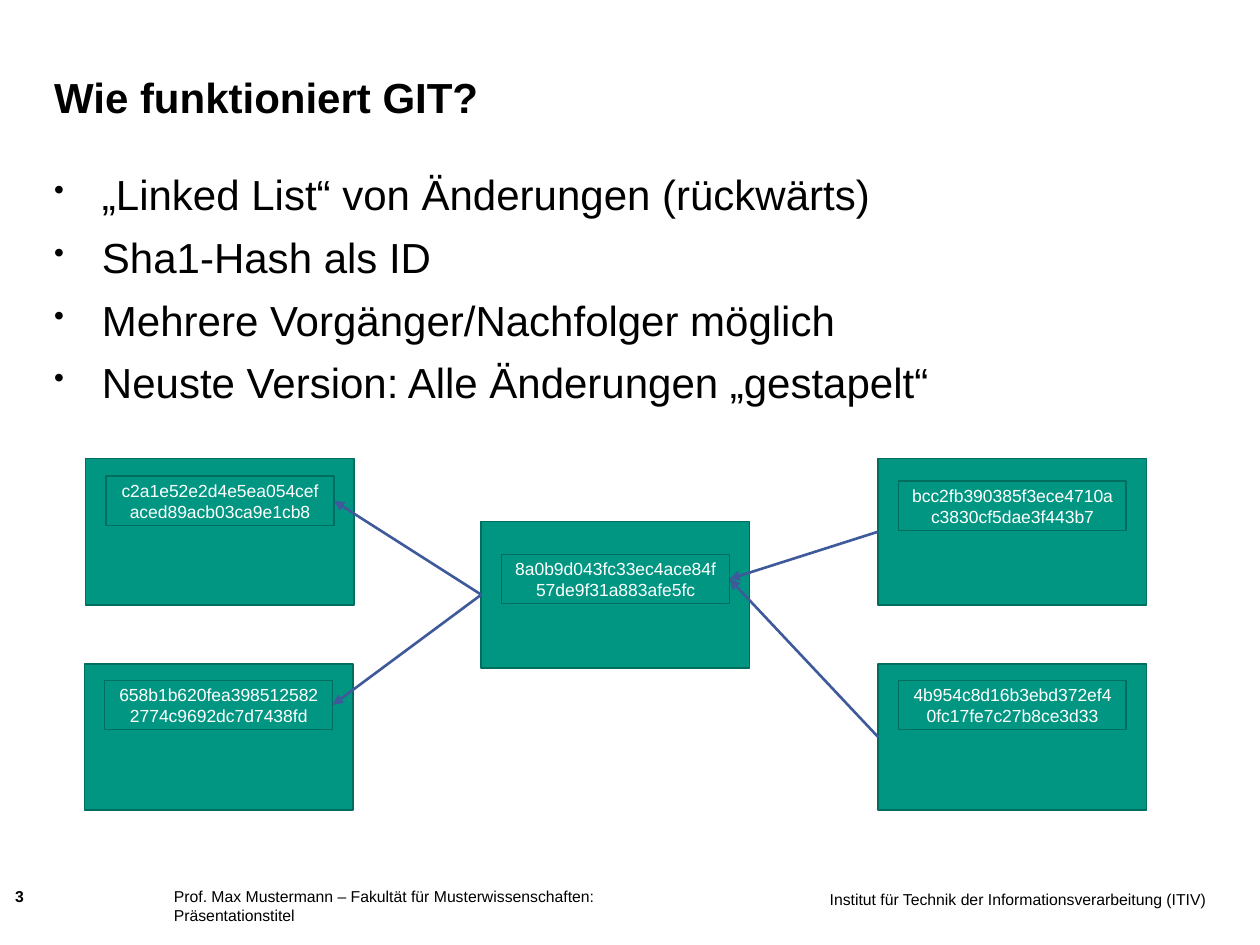
from lxml import etree
from pptx import Presentation
from pptx.dml.color import RGBColor
from pptx.enum.shapes import MSO_CONNECTOR, MSO_SHAPE
from pptx.enum.text import MSO_ANCHOR, PP_ALIGN
from pptx.oxml.ns import qn
from pptx.util import Inches, Pt

BLACK = RGBColor(0x00, 0x00, 0x00)
WHITE = RGBColor(0xFF, 0xFF, 0xFF)
GREEN = RGBColor(0x00, 0x96, 0x82)
DARK_GREEN = RGBColor(0x00, 0x6D, 0x5E)
BLUE = RGBColor(0x3F, 0x5A, 0x9A)

RECTANGLE = MSO_SHAPE.RECTANGLE
STRAIGHT = MSO_CONNECTOR.STRAIGHT
LEFT, CENTER, RIGHT = PP_ALIGN.LEFT, PP_ALIGN.CENTER, PP_ALIGN.RIGHT
TOP, MIDDLE, BOTTOM = MSO_ANCHOR.TOP, MSO_ANCHOR.MIDDLE, MSO_ANCHOR.BOTTOM

COMMIT_WIDTH, COMMIT_HEIGHT = 2.13, 1.16
HASH_WIDTH, HASH_HEIGHT = 1.81, 0.39
HASH_INDENT = 0.16
BULLET_INDENT = 0.38


def add_bullet(para):
    props = para._p.get_or_add_pPr()
    props.set("marL", str(Inches(BULLET_INDENT)))
    props.set("indent", str(-Inches(BULLET_INDENT)))
    etree.SubElement(props, qn("a:buSzPct")).set("val", "70000")
    etree.SubElement(props, qn("a:buChar")).set("char", "•")


def write(frame, text, size=9, color=BLACK, bold=False, align=LEFT,
          anchor=TOP, margins=(0, 0, 0, 0), bullets=False, gap=0):
    """Fill a text frame; each line of text becomes a paragraph."""
    frame.word_wrap = True
    frame.vertical_anchor = anchor
    (frame.margin_left, frame.margin_top,
     frame.margin_right, frame.margin_bottom) = map(Inches, margins)
    for index, line in enumerate(text.split("\n")):
        para = frame.add_paragraph() if index else frame.paragraphs[0]
        para.alignment = align
        if index:
            para.space_before = Pt(gap)
        if bullets:
            add_bullet(para)
        span = para.add_run()
        span.text = line
        span.font.name = "Arial"
        span.font.size = Pt(size)
        span.font.bold = bold
        span.font.color.rgb = color


class SlideBuilder:
    """Holds the commit graph's style and the current slide."""
    fill, outline, arrow_color = GREEN, DARK_GREEN, BLUE

    def __init__(self, page):
        self.page = page

    def text(self, left, top, width, height, text, **style):
        box = self.page.shapes.add_textbox(
            Inches(left), Inches(top), Inches(width), Inches(height))
        write(box.text_frame, text, **style)

    def box(self, left, top, width, height):
        shape = self.page.shapes.add_shape(
            RECTANGLE, Inches(left), Inches(top), Inches(width), Inches(height))
        shape.shadow.inherit = False
        shape.fill.solid()
        shape.fill.fore_color.rgb = self.fill
        shape.line.color.rgb = self.outline
        shape.line.width = Pt(1)
        return shape

    def commit(self, left, top, hash_top, hash_id):
        """Draw a commit; return its arrow start and arrow target points."""
        self.box(left, top, COMMIT_WIDTH, COMMIT_HEIGHT)
        hash_left = left + HASH_INDENT
        label = self.box(hash_left, hash_top, HASH_WIDTH, HASH_HEIGHT)
        write(label.text_frame, hash_id, size=10, color=WHITE, align=CENTER,
              anchor=MIDDLE, margins=(0.1, 0.05, 0.1, 0.05))
        start = (left, top + COMMIT_HEIGHT / 2)
        target = (hash_left + HASH_WIDTH, hash_top + HASH_HEIGHT / 2)
        return start, target

    def arrow(self, start, target):
        line = self.page.shapes.add_connector(
            STRAIGHT, *(Inches(value) for value in start + target))
        line.line.color.rgb = self.arrow_color
        line.line.width = Pt(1.5)
        etree.SubElement(line.line._get_or_add_ln(),
                         qn("a:tailEnd")).set("type", "triangle")
        etree.SubElement(line._element.spPr, qn("a:effectLst"))


def main():
    deck = Presentation()
    deck.slide_width, deck.slide_height = Inches(10), Inches(7.5)
    slide = SlideBuilder(deck.slides.add_slide(deck.slide_layouts[6]))

    # Title and bullets
    slide.text(0.43, 0.36, 7.56, 0.61, "Wie funktioniert GIT?",
               size=24, bold=True, anchor=BOTTOM)
    slide.text(0.43, 1.31, 9.14, 5.35,
               "„Linked List“ von Änderungen (rückwärts)\n"
               "Sha1-Hash als ID\n"
               "Mehrere Vorgänger/Nachfolger möglich\n"
               "Neuste Version: Alle Änderungen „gestapelt“",
               size=24, bullets=True, gap=7, margins=(0, 0.03, 0, 0))

    # Footer
    slide.text(0.12, 7.04, 0.44, 0.19, "3", bold=True)
    slide.text(1.38, 7.04, 3.78, 0.39,
               "Prof. Max Mustermann – Fakultät für Musterwissenschaften: "
               "Präsentationstitel")
    slide.text(6.34, 7.06, 3.23, 0.39,
               "Institut für Technik der Informationsverarbeitung (ITIV)",
               align=RIGHT)

    # Commits: left, top, top of the hash, hash
    commits = [
        (0.68, 3.64, 3.78, "c2a1e52e2d4e5ea054cefaced89acb03ca9e1cb8"),
        (0.67, 5.27, 5.40, "658b1b620fea3985125822774c9692dc7d7438fd"),
        (3.82, 4.14, 4.40, "8a0b9d043fc33ec4ace84f57de9f31a883afe5fc"),
        (6.97, 3.64, 3.82, "bcc2fb390385f3ece4710ac3830cf5dae3f443b7"),
        (6.97, 5.27, 5.40, "4b954c8d16b3ebd372ef40fc17fe7c27b8ce3d33"),
    ]
    points = [slide.commit(*commit) for commit in commits]

    # Arrows from each commit to its predecessors
    for child, parent in [(2, 0), (2, 1), (3, 2), (4, 2)]:
        slide.arrow(points[child][0], points[parent][1])

    deck.save("out.pptx")


if __name__ == "__main__":
    main()
